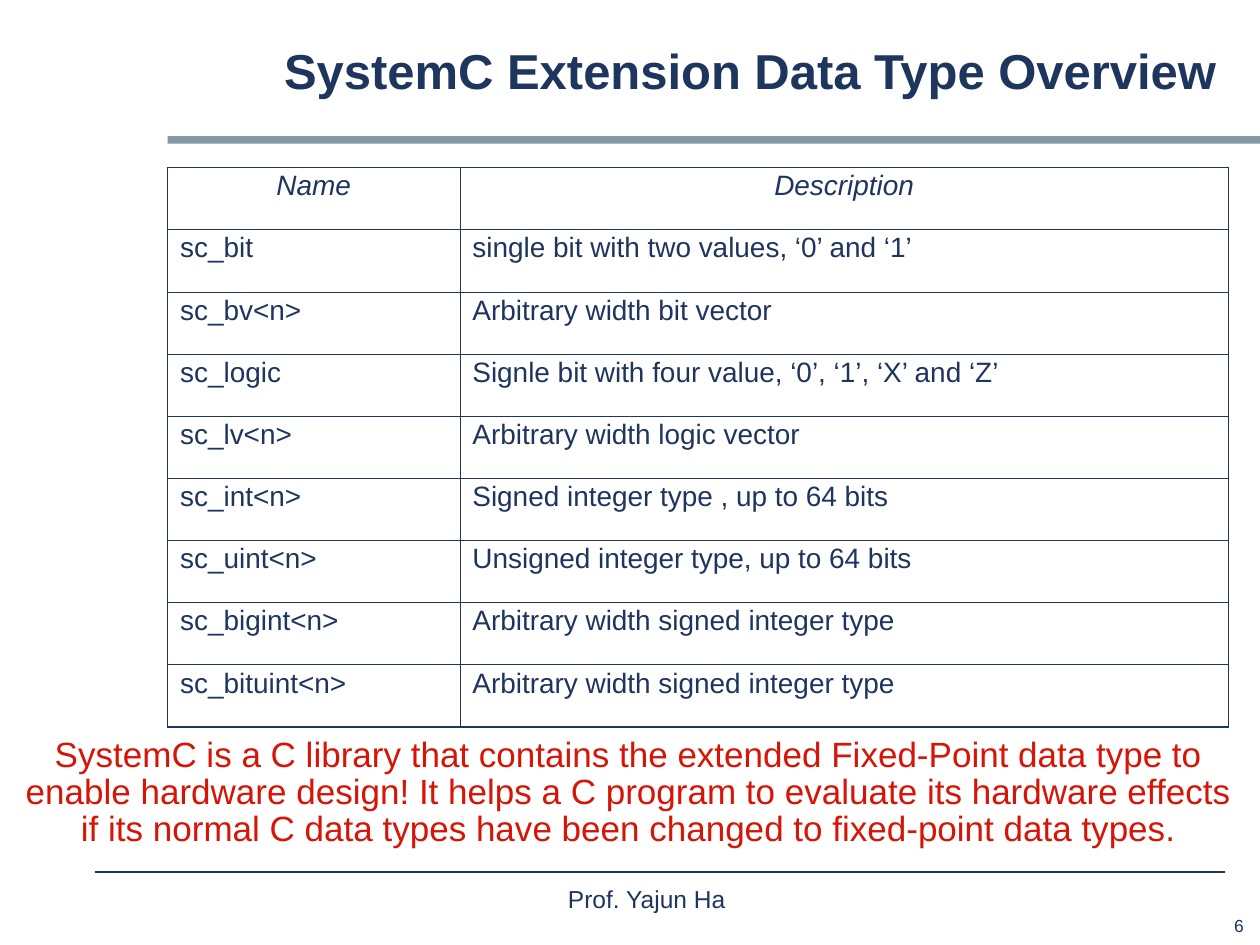
from lxml import etree
from pptx import Presentation
from pptx.dml.color import RGBColor
from pptx.enum.shapes import MSO_CONNECTOR, MSO_SHAPE
from pptx.enum.text import MSO_ANCHOR, PP_ALIGN
from pptx.oxml.ns import qn
from pptx.util import Inches, Pt

LEFT, CENTER, RIGHT = PP_ALIGN.LEFT, PP_ALIGN.CENTER, PP_ALIGN.RIGHT
MIDDLE = MSO_ANCHOR.MIDDLE
RECTANGLE, STRAIGHT = MSO_SHAPE.RECTANGLE, MSO_CONNECTOR.STRAIGHT

FONT = "Arial"
NAVY, SLATE, RED = "1E355E", "8499A5", "D61506"
TIGHT = 0.88
OUTER, INNER = 1.08, 0.45

# Shared grid, in inches
WIDTH, HEIGHT = 10, 7.5
MAIN_LEFT, MAIN_WIDTH = 1.33, 8.42

DATA_TYPES = [
    ("Name", "Description"),
    ("sc_bit", "single bit with two values, ‘0’ and ‘1’"),
    ("sc_bv<n>", "Arbitrary width bit vector"),
    ("sc_logic", "Signle bit with four value, ‘0’, ‘1’, ‘X’ and ‘Z’"),
    ("sc_lv<n>", "Arbitrary width logic vector"),
    ("sc_int<n>", "Signed integer type , up to 64 bits"),
    ("sc_uint<n>", "Unsigned integer type, up to 64 bits"),
    ("sc_bigint<n>", "Arbitrary width signed integer type"),
    ("sc_bituint<n>", "Arbitrary width signed integer type"),
]
REMARK = (
    "SystemC is a C library that contains the extended Fixed-Point data type "
    "to enable hardware design! It helps a C program to evaluate its hardware "
    "effects if its normal C data types have been changed to fixed-point data types."
)


def rgb(value):
    return RGBColor.from_string(value)


def inches(box):
    return [Inches(length) for length in box]


def write(frame, text, size, align=LEFT, color=NAVY, spacing=None,
          bold=False, italic=False):
    frame.text = text
    paragraph = frame.paragraphs[0]
    paragraph.alignment = align
    if spacing:
        paragraph.line_spacing = spacing
    font = paragraph.runs[0].font
    font.name, font.size = FONT, Pt(size)
    font.bold, font.italic = bold, italic
    font.color.rgb = rgb(color)


def add_text(slide, box, text, size, wrap=True, **style):
    frame = slide.shapes.add_textbox(*inches(box)).text_frame
    frame.word_wrap = wrap
    write(frame, text, size, **style)


def add_header(slide, box):
    """Title over a bar that runs to the slide's right edge."""
    left, top, width, height = box
    bar_box = (left, top + height + 0.08, WIDTH - left, 0.06)
    bar = slide.shapes.add_shape(RECTANGLE, *inches(bar_box))
    bar.shadow.inherit = False
    bar.fill.solid()
    bar.fill.fore_color.rgb = rgb(SLATE)
    bar.line.fill.background()

    title = slide.shapes.title
    title.left, title.top, title.width, title.height = inches(box)
    title.text_frame.word_wrap = True
    title.text_frame.vertical_anchor = MIDDLE
    write(title.text_frame, "SystemC Extension Data Type Overview", 28,
          align=RIGHT, spacing=TIGHT, bold=True)


def set_borders(cell, widths):
    """Draw the left, right, top and bottom borders, in that order."""
    properties = cell._tc.get_or_add_tcPr()
    for index, (side, width) in enumerate(zip("LRTB", widths)):
        line = etree.Element(qn(f"a:ln{side}"), w=str(Pt(width)))
        fill = etree.SubElement(line, qn("a:solidFill"))
        etree.SubElement(fill, qn("a:srgbClr"), val=NAVY)
        properties.insert(index, line)


def add_type_table(slide, box):
    rows, columns = len(DATA_TYPES), len(DATA_TYPES[0])
    table = slide.shapes.add_table(rows, columns, *inches(box)).table
    table.first_row = table.horz_banding = False
    name_width = 2.32
    table.columns[0].width = Inches(name_width)
    table.columns[1].width = Inches(box[2] - name_width)

    for r, entry in enumerate(DATA_TYPES):
        table.rows[r].height = Inches(box[3] / rows)
        heading = r == 0
        for c, text in enumerate(entry):
            cell = table.cell(r, c)
            cell.fill.background()
            write(cell.text_frame, text, 16, align=CENTER if heading else LEFT,
                  spacing=TIGHT, italic=heading)
            at_edge = (c == 0, c == columns - 1, r == 0, r == rows - 1)
            set_borders(cell, [OUTER if edge else INNER for edge in at_edge])


def add_footer(slide, box):
    """Rule with the lecturer's name below it and the page number in the corner."""
    left, top, width, height = box
    rule = slide.shapes.add_connector(
        STRAIGHT, *inches((left, top, left + width, top)))
    rule.line.color.rgb = rgb(NAVY)
    rule.line.width = Pt(0.75)
    etree.SubElement(rule._element.spPr, qn("a:effectLst"))

    add_text(slide, (3.45, top + 0.05, 3.42, 0.42), "Prof. Yajun Ha ", 14,
             wrap=False, align=CENTER)
    add_text(slide, (9.32, top + height - 0.29, 0.65, 0.26), "6", 10,
             wrap=False, align=RIGHT)


def main():
    deck = Presentation()
    deck.slide_width, deck.slide_height = Inches(WIDTH), Inches(HEIGHT)
    slide = deck.slides.add_slide(deck.slide_layouts[5])

    add_header(slide, (MAIN_LEFT, 0.17, MAIN_WIDTH, 0.83))
    add_type_table(slide, (MAIN_LEFT, 1.33, MAIN_WIDTH, 4.44))
    add_text(slide, (0.08, 5.81, 9.82, 0.98), REMARK, 20,
             align=CENTER, color=RED, spacing=TIGHT)
    add_footer(slide, (0.75, 6.92, 8.97, HEIGHT - 6.92))

    deck.save("out.pptx")


if __name__ == "__main__":
    main()
